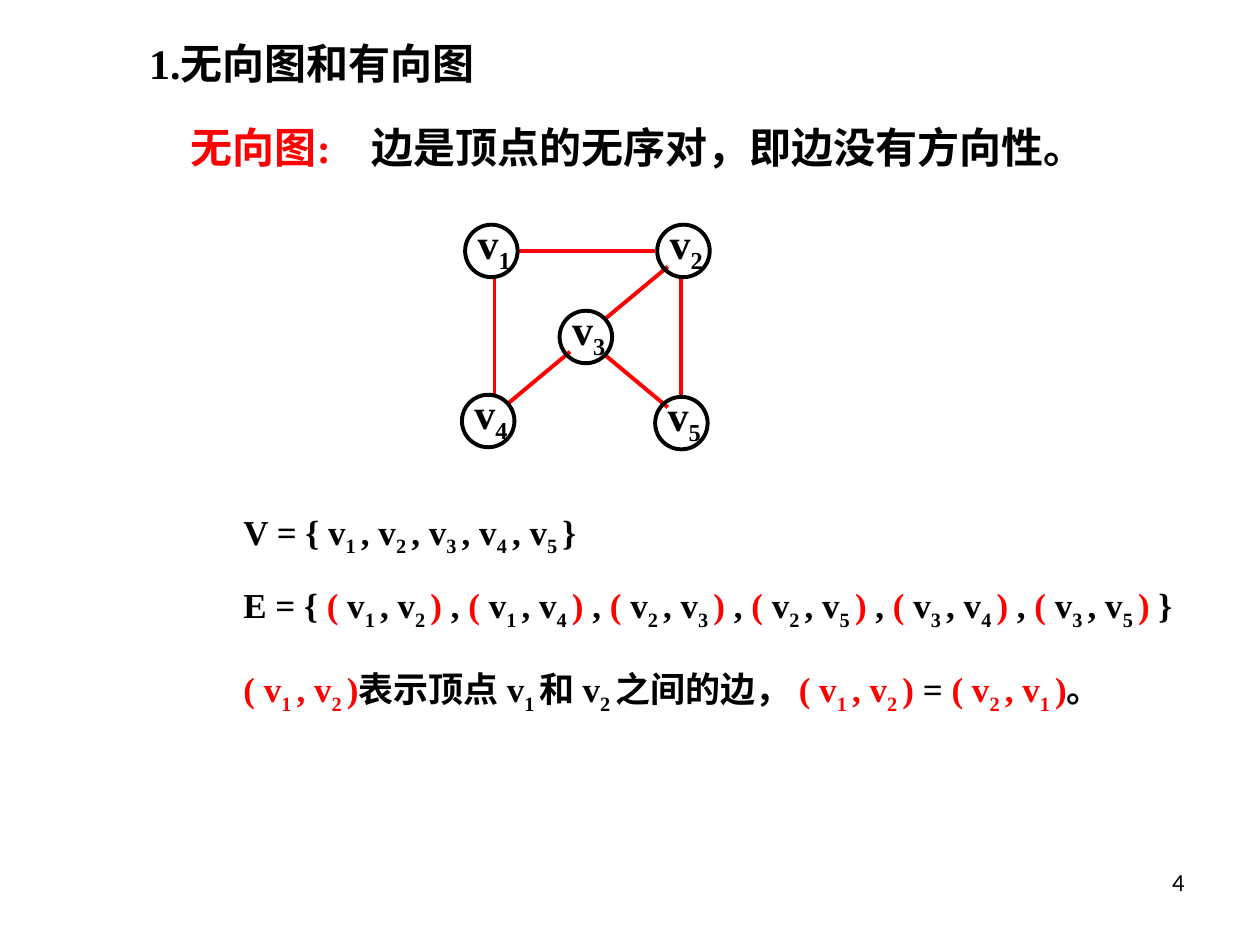
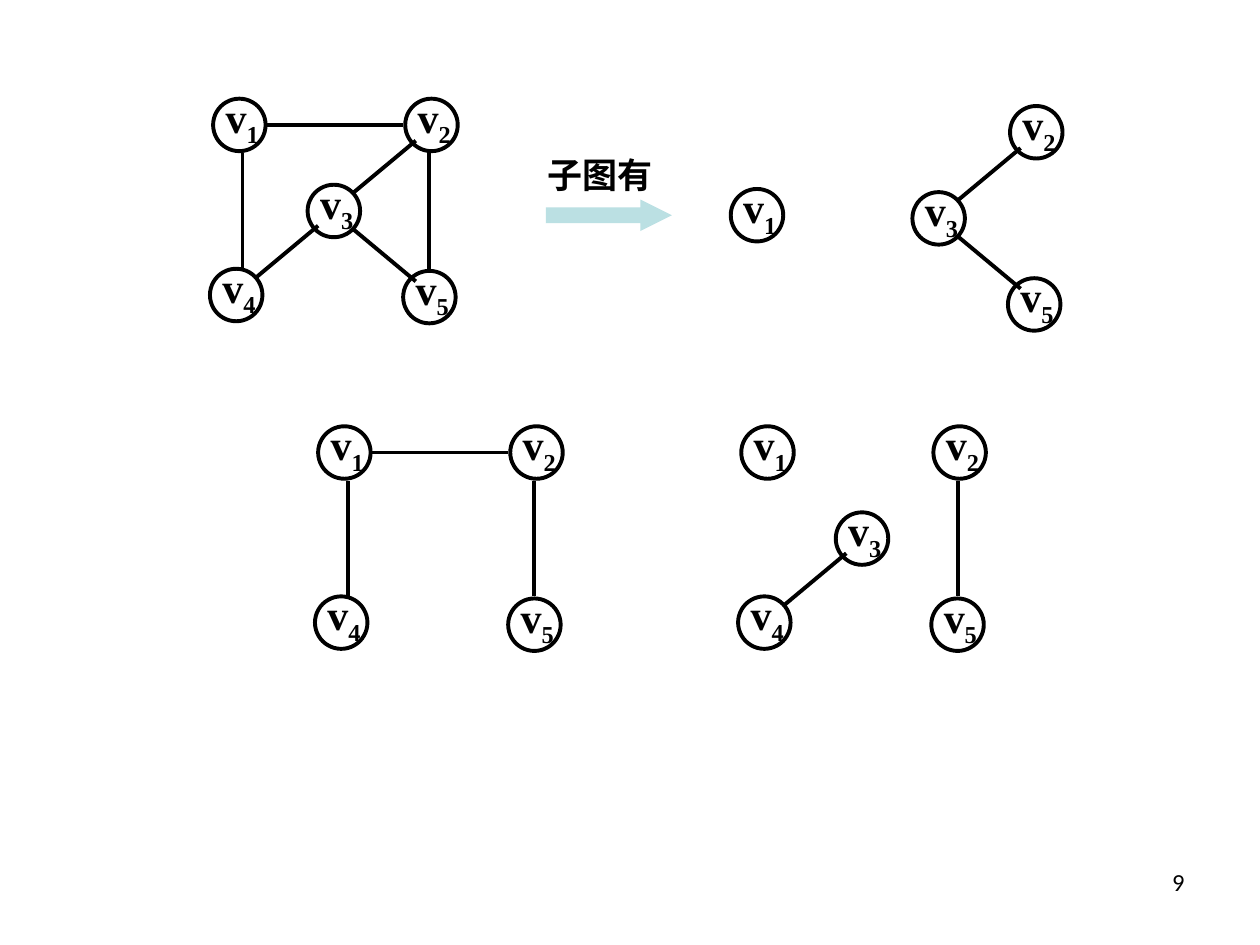
"""Build two slides on undirected graphs and their subgraphs."""
from lxml.etree import SubElement
from pptx import Presentation
from pptx.dml.color import RGBColor
from pptx.enum.shapes import MSO_CONNECTOR as Connector, MSO_SHAPE as Shape
from pptx.enum.text import MSO_ANCHOR as Anchor, PP_ALIGN as Align
from pptx.oxml.ns import qn
from pptx.util import Inches, Pt

COLORS = {"ink": "000000", "accent": "FF0000", "arrow": "BBE0E3"}
COLUMNS, ROWS = 120, 90
TITLE_ONLY, BLANK = 5, 6
NODE_SIZE = 5
NODES = {"1": (0.3, 0), "2": (18.6, 0), "3": (9.3, 8.2), "4": (0, 16.2), "5": (18.4, 16.4)}
EDGES = {
    "12": (5.3, 2.5, 18.4, 2.5),
    "14": (3.1, 5.2, 3.1, 16.2),
    "23": (19.6, 4, 13.6, 9),
    "25": (20.9, 5.2, 20.9, 16.2),
    "34": (10.3, 12.1, 4.3, 17.1),
    "35": (13.6, 12.4, 19.6, 17.4),
}

deck = Presentation()
deck.slide_width, deck.slide_height = Inches(10), Inches(7.5)
CELL = deck.slide_width // COLUMNS


def write(shapes, text, place, box=None, size=24, font="Times New Roman", bold=True,
          align=Align.LEFT, tab=None):
    """Write text in a box; ^ switches the accent colour, | switches subscript."""
    box = box or shapes.add_textbox(0, 0, 0, 0)
    box.left, box.top, box.width, box.height = (round(CELL * n) for n in place)
    box.text_frame.word_wrap = True
    box.text_frame.vertical_anchor = Anchor.TOP
    para = box.text_frame.paragraphs[0]
    para.alignment = align
    if tab:
        stops = SubElement(para._p.get_or_add_pPr(), qn("a:tabLst"))
        SubElement(stops, qn("a:tab"), pos=str(round(CELL * tab)), algn="l")
    for i, part in enumerate(text.split("^")):
        for j, piece in enumerate(part.split("|")):
            if not piece:
                continue
            span = para.add_run()
            span.text = piece
            span.font.size, span.font.name, span.font.bold = Pt(size), font, bold
            span.font.color.rgb = RGBColor.from_string(COLORS["accent" if i % 2 else "ink"])
            if j % 2:
                span._r.get_or_add_rPr().set("baseline", "-25000")


def draw_graph(page, left, top, nodes, edges, color="ink"):
    """Draw the chosen nodes and edges as one group."""
    shapes = page.shapes.add_group_shape().shapes
    for edge in edges:
        x1, y1, x2, y2 = EDGES[edge]
        ends = (left + x1, top + y1, left + x2, top + y2)
        line = shapes.add_connector(Connector.STRAIGHT, *(round(CELL * n) for n in ends))
        line.line.color.rgb = RGBColor.from_string(COLORS[color])
        line.line.width = Pt(2.25)
        SubElement(line._element.spPr, qn("a:effectLst"))
    for node in nodes:
        x, y = left + NODES[node][0], top + NODES[node][1]
        place = (x, y, NODE_SIZE, NODE_SIZE)
        circle = shapes.add_shape(Shape.OVAL, *(round(CELL * n) for n in place))
        circle.shadow.inherit = False
        circle.fill.background()
        circle.line.color.rgb = RGBColor.from_string(COLORS["ink"])
        circle.line.width = Pt(2.25)
        write(shapes, f"v|{node}|", (x, y - 1.3, 9, 6.7))


graph_page = deck.slides.add_slide(deck.slide_layouts[TITLE_ONLY])
subgraph_page = deck.slides.add_slide(deck.slide_layouts[BLANK])
for page, number in ((graph_page, "4"), (subgraph_page, "9")):
    write(page.shapes, number, (86, 82, 28, 6.2), size=14, font="Calibri", bold=False,
          align=Align.RIGHT)

shapes = graph_page.shapes
write(shapes, "1.无向图和有向图", (13, 3, 36, 6), box=shapes.title)
write(shapes, "^无向图:^\t边是顶点的无序对，即边没有方向性。", (17, 11, 96, 6), tab=17.2)
draw_graph(graph_page, 44, 21.4, NODES, EDGES, color="accent")

vertex_set = ", ".join(f"v|{node} |" for node in NODES)
edge_set = " , ".join(f"^(^ v|{a} |, v|{b} |^)^" for a, b in EDGES)
edge_note = ("^( v|1 |, v|2 |)^表示顶点 v|1 |和 v|2 |之间的边， "
             "^( v|1 |, v|2 |)^ = ^( v|2 |, v|1 |)^。")
for text, row, width in (
    (f"V = {{ {vertex_set}}}", 48, 67),
    (f"E = {{ {edge_set} }}", 55, 96),
    (edge_note, 63, 90),
):
    write(shapes, text, (22, row, width, 5.8), size=20)

for left, top, nodes, edges in (
    (20, 9.4, NODES, EDGES),
    (69.3, 18, "1", ()),
    (77.6, 10.1, "235", ("23", "35")),
    (30, 40.6, "1245", ("12", "14", "25")),
    (70.3, 40.6, NODES, ("25", "34")),
):
    draw_graph(subgraph_page, left, top, nodes, edges)

arrow = subgraph_page.shapes.add_shape(Shape.RIGHT_ARROW, *(CELL * n for n in (52, 19, 12, 3)))
arrow.shadow.inherit = False
arrow.adjustments[0], arrow.adjustments[1] = 0.5, 1
arrow.fill.solid()
arrow.fill.fore_color.rgb = RGBColor.from_string(COLORS["arrow"])
arrow.line.fill.background()
write(subgraph_page.shapes, "子图有", (51, 14, 15, 5.3), size=20)

deck.save("out.pptx")
